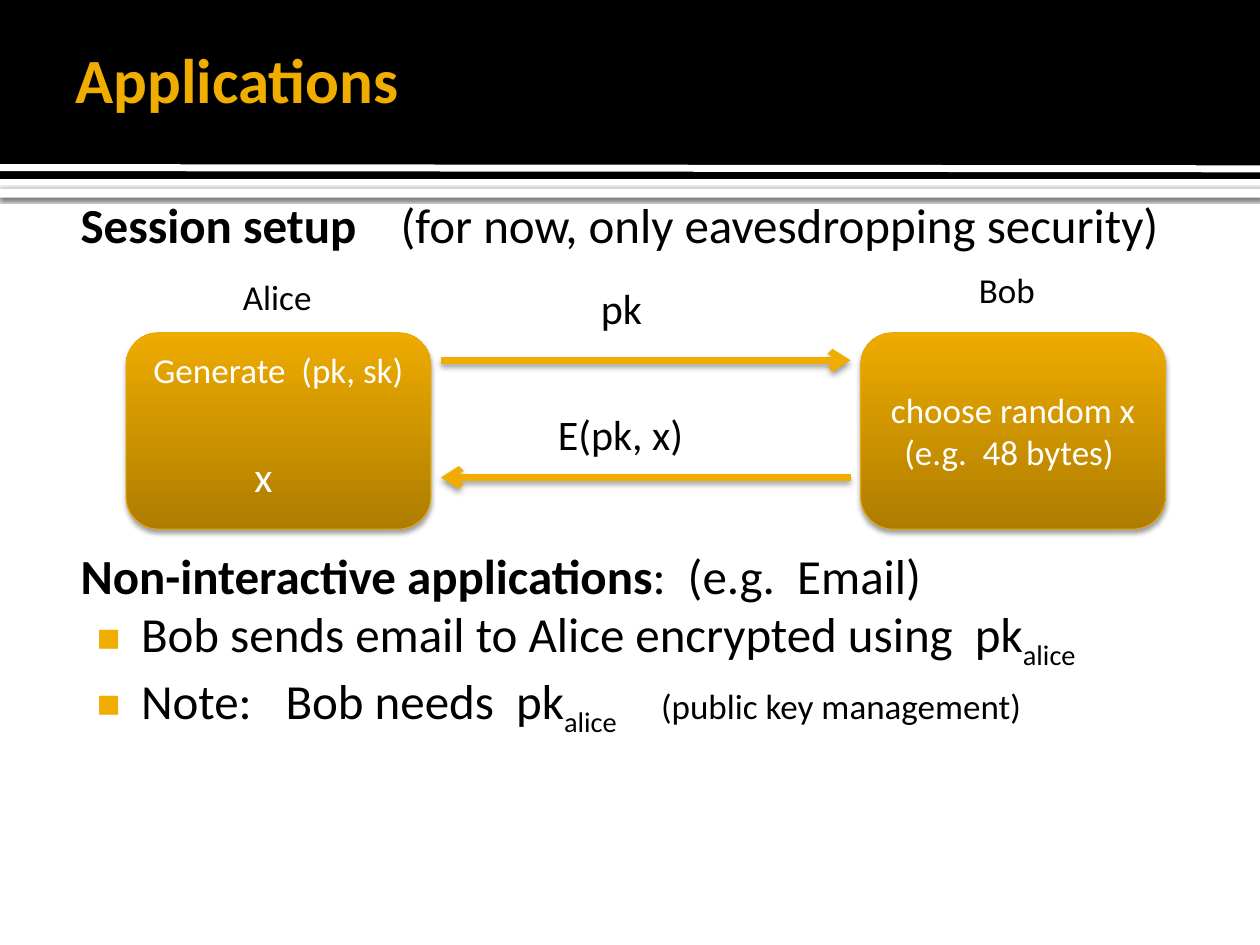
from lxml.etree import SubElement
from pptx import Presentation
from pptx.dml.color import RGBColor
from pptx.enum.shapes import MSO_CONNECTOR, MSO_SHAPE
from pptx.enum.text import MSO_ANCHOR, MSO_AUTO_SIZE, PP_ALIGN
from pptx.oxml.ns import qn
from pptx.util import Inches, Pt

BLACK = RGBColor(0x00, 0x00, 0x00)
WHITE = RGBColor(0xFF, 0xFF, 0xFF)
GOLD = RGBColor(0xF0, 0xAD, 0x00)
GOLD_LIGHT = RGBColor(0xEE, 0xAB, 0x00)
GOLD_DARK = RGBColor(0xAE, 0x7D, 0x00)
GOLD_EDGE = RGBColor(0xEB, 0xA9, 0x00)


class SlideBuilder:
    font_name = "Calibri"

    def __init__(self, slide):
        self.slide = slide
        self.shapes = slide.shapes

    def span(self, para, text, size, color=BLACK, bold=False, subscript=False):
        span = para.add_run()
        span.text = text
        span.font.name = self.font_name
        span.font.size = Pt(size)
        span.font.bold = bold
        span.font.color.rgb = color
        if subscript:
            span._r.get_or_add_rPr().set("baseline", "-25000")
        return span

    def gap(self, para, size, points):
        space = self.span(para, " ", size)
        space._r.get_or_add_rPr().set("spc", str(points * 100))

    def shadow(self, item, opacity, blur, distance):
        properties = item._element.spPr
        for old in properties.findall(qn("a:effectLst")):
            properties.remove(old)
        effects = SubElement(properties, qn("a:effectLst"))
        outer = SubElement(effects, qn("a:outerShdw"), blurRad=str(Pt(blur)),
                           dist=str(Pt(distance)), dir="5400000", rotWithShape="0")
        shade = SubElement(outer, qn("a:srgbClr"), val=str(BLACK))
        SubElement(shade, qn("a:alpha"), val=str(opacity * 1000))

    def band(self, top, height, color):
        band = self.shapes.add_shape(MSO_SHAPE.RECTANGLE, 0, Inches(top),
                                     Inches(10), Inches(height))
        band.shadow.inherit = False
        band.fill.solid()
        band.fill.fore_color.rgb = color
        band.line.fill.background()
        return band

    def line(self, start, end, color, width):
        line = self.shapes.add_connector(MSO_CONNECTOR.STRAIGHT,
                                         *map(Inches, start), *map(Inches, end))
        line.line.color.rgb = color
        line.line.width = Pt(width)
        SubElement(line._element.spPr, qn("a:effectLst"))
        return line

    def arrow(self, start, end):
        arrow = self.line(start, end, GOLD, 3.75)
        SubElement(arrow.line._get_or_add_ln(), qn("a:tailEnd"), type="arrow")
        self.shadow(arrow, 38, 3.5, 2)

    def placeholder(self, item, position, insets):
        self.shapes._spTree.append(item._element)
        item.left, item.top, item.width, item.height = map(Inches, position)
        frame = item.text_frame
        frame.auto_size = MSO_AUTO_SIZE.NONE
        frame.word_wrap = True
        (frame.margin_left, frame.margin_top,
         frame.margin_right, frame.margin_bottom) = map(Inches, insets)
        return frame

    def title(self, text):
        frame = self.placeholder(self.shapes.title, (0.5, 0.08, 8.25, 1.08),
                                 (0.1, 0.05, 0.05, 0.05))
        frame.vertical_anchor = MSO_ANCHOR.MIDDLE
        para = frame.paragraphs[0]
        para.alignment = PP_ALIGN.LEFT
        self.span(para, text, 36, GOLD, bold=True)

    def body(self):
        frame = self.placeholder(self.slide.placeholders[1], (0.58, 1.44, 9, 5.97),
                                 (0.06, 0.1, 0.1, 0.05))
        frame.vertical_anchor = MSO_ANCHOR.TOP
        return frame

    def paragraph(self, para, bullet=False, before=0):
        properties = para._p.get_or_add_pPr()
        properties.set("marL", str(Inches(0.48) if bullet else 0))
        properties.set("indent", str(Inches(-0.35) if bullet else 0))
        if bullet:
            tint = SubElement(properties, qn("a:buClr"))
            SubElement(tint, qn("a:srgbClr"), val=str(GOLD))
            SubElement(properties, qn("a:buSzPct"), val="80000")
            SubElement(properties, qn("a:buFont"), typeface="Arial")
            SubElement(properties, qn("a:buChar"), char="■")
        else:
            SubElement(properties, qn("a:buNone"))
        para.space_before = Pt(before)
        para.space_after = Pt(0)
        para.alignment = PP_ALIGN.LEFT
        return para

    def party(self, left, lines, anchor):
        box = self.shapes.add_shape(MSO_SHAPE.ROUNDED_RECTANGLE, Inches(left),
                                    Inches(2.64), Inches(2.42), Inches(1.56))
        box.fill.gradient()
        box.fill.gradient_angle = 90
        for stop, color in zip(box.fill.gradient_stops, (GOLD_DARK, GOLD_LIGHT)):
            stop.color.rgb = color
        box.line.color.rgb = GOLD_EDGE
        box.line.width = Pt(0.5)
        self.shadow(box, 38, 3.1, 2)
        frame = box.text_frame
        frame.word_wrap = True
        frame.vertical_anchor = anchor
        for index, text in enumerate(lines):
            para = frame.add_paragraph() if index else frame.paragraphs[0]
            para.alignment = PP_ALIGN.CENTER
            self.span(para, text, 20, WHITE)

    def label(self, text, position, size, color=BLACK):
        box = self.shapes.add_textbox(*map(Inches, position))
        frame = box.text_frame
        frame.word_wrap = False
        frame.auto_size = MSO_AUTO_SIZE.SHAPE_TO_FIT_TEXT
        self.span(frame.paragraphs[0], text, size, color)


def main():
    deck = Presentation()
    deck.slide_width, deck.slide_height = Inches(10), Inches(7.5)
    page = SlideBuilder(deck.slides.add_slide(deck.slide_layouts[1]))

    strip = page.band(1.5, 0.07, WHITE)
    page.shadow(strip, 60, 2.5, 0.8)
    page.band(0, 1.42, BLACK)
    page.line((0, 1.33), (10, 1.34), WHITE, 4)
    page.title("Applications")

    frame = page.body()
    para = page.paragraph(frame.paragraphs[0])
    page.span(para, "Session setup", 28, bold=True)
    page.gap(para, 28, 19)
    page.span(para, "(for now, only eavesdropping security)", 28)

    para = page.paragraph(frame.add_paragraph(), before=167)
    page.span(para, "Non-interactive applications", 28, bold=True)
    page.span(para, ":  (e.g.  Email)", 28)

    para = page.paragraph(frame.add_paragraph(), bullet=True)
    page.span(para, "Bob sends email to Alice encrypted using  pk", 28)
    page.span(para, "alice", 28, subscript=True)

    para = page.paragraph(frame.add_paragraph(), bullet=True)
    page.span(para, "Note:", 28)
    page.gap(para, 28, 13)
    page.span(para, "Bob needs  pk", 28)
    page.span(para, "alice", 28, subscript=True)
    page.gap(para, 28, 19)
    page.span(para, "(public key management)", 20)

    page.party(1, ["Generate  (pk, sk)"], MSO_ANCHOR.TOP)
    page.party(6.83, ["choose random x", "(e.g.  48 bytes) "], MSO_ANCHOR.MIDDLE)
    page.arrow((3.5, 2.86), (6.75, 2.86))
    page.arrow((6.75, 3.79), (3.5, 3.79))

    page.label("Alice", (1.83, 2.14, 0.77, 0.44), 20)
    page.label("Bob", (7.67, 2.08, 0.67, 0.44), 20)
    page.label("pk", (4.67, 2.19, 0.54, 0.5), 24)
    page.label("E(pk, x)", (4.33, 3.19, 1.24, 0.5), 24)
    page.label("x", (1.92, 3.53, 0.35, 0.5), 24, WHITE)

    deck.save("out.pptx")


if __name__ == "__main__":
    main()
